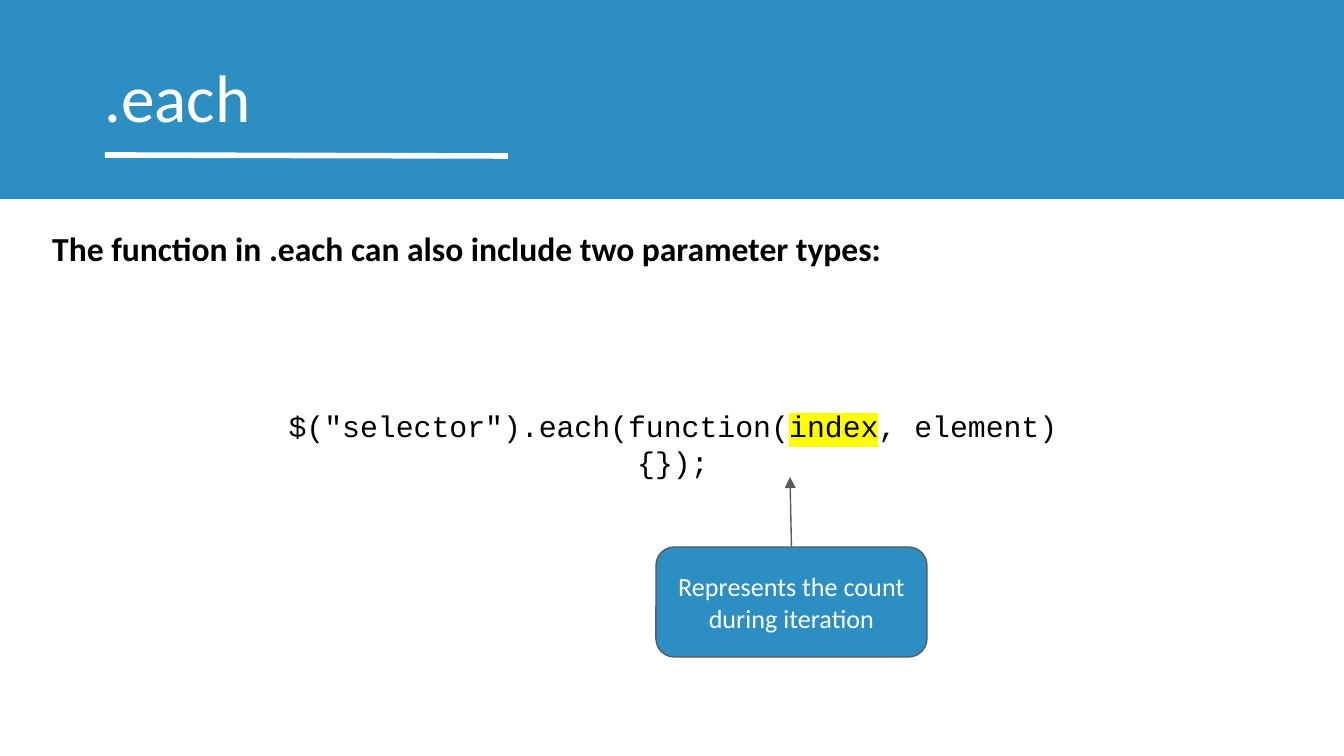
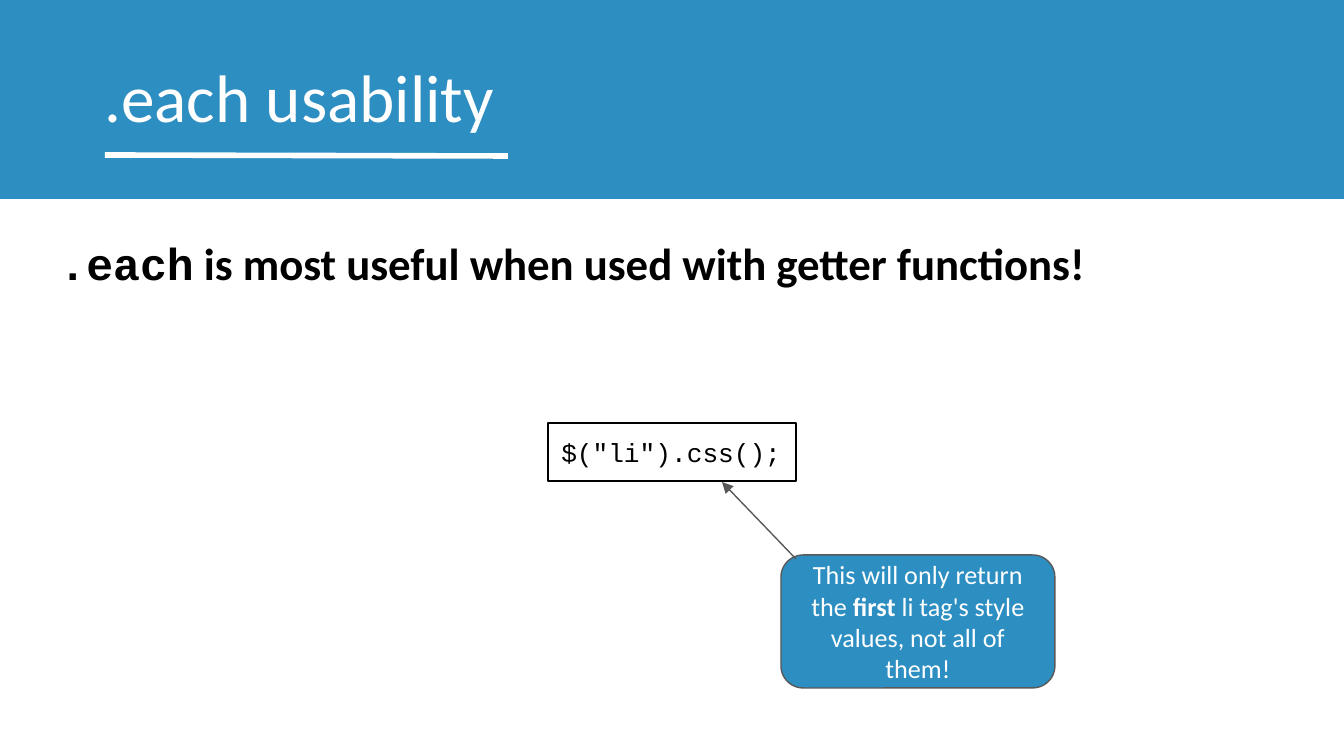
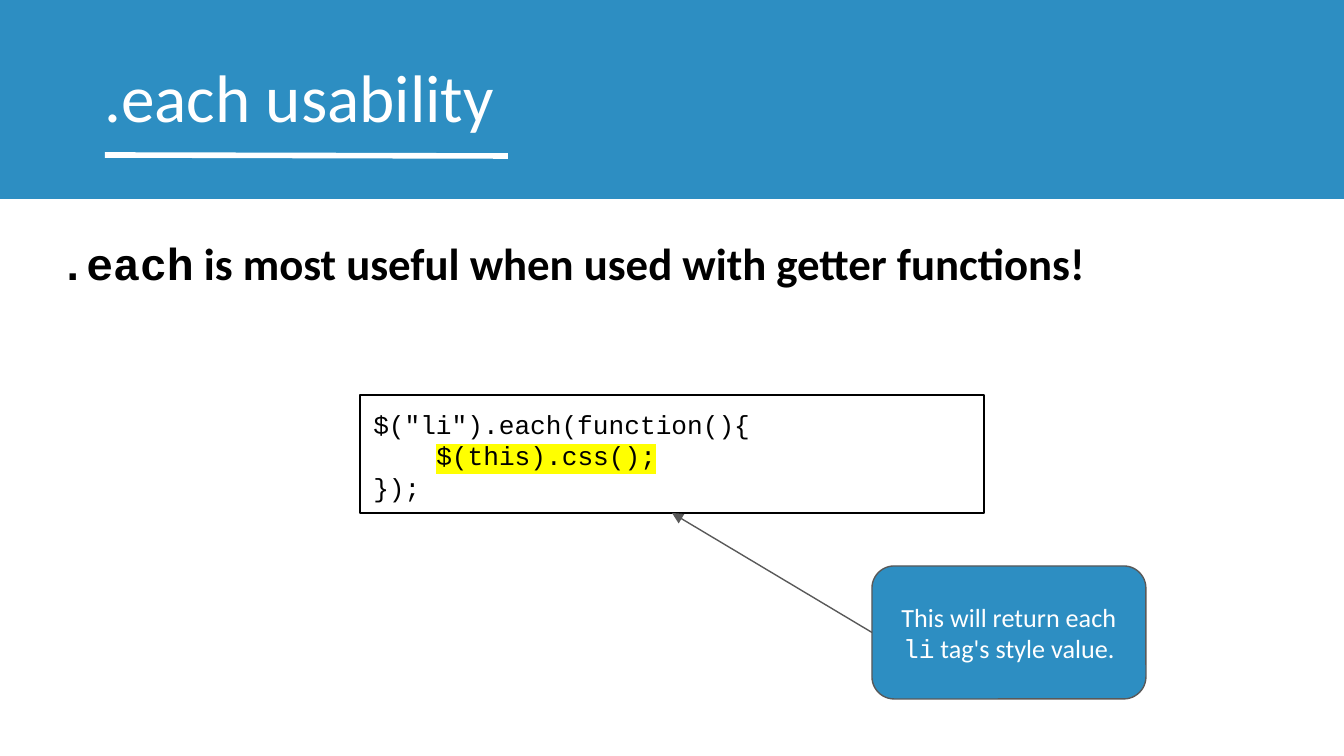
from lxml.etree import SubElement
from pptx import Presentation
from pptx.dml.color import RGBColor
from pptx.enum.shapes import MSO_CONNECTOR, MSO_SHAPE
from pptx.enum.text import MSO_ANCHOR, MSO_AUTO_SIZE, PP_ALIGN
from pptx.oxml.ns import qn
from pptx.util import Emu, Inches, Pt

BLUE, WHITE, BLACK, GREY, YELLOW = "2D8EC2", "FFFFFF", "000000", "595959", "FFFF00"
SANS, MONO = "Calibri", "Courier New"
SCALE = 914400 / 134.4
TOP, LEFT, BOTTOM = 0, 1, 2

BAND = (0, 0, 1344, 199)
RULE = (105, 155, 508, 156)
TITLE = (91, 42, 1253, 85)

# A run is (text, changes to the style of its block).
CODE = {"font": MONO}
MARK = {"mark": YELLOW}
USE = [(".each", CODE), (" is most useful when used with getter functions!", {})]

SLIDES = [
    {
        "title": ".each",
        "head": [("The function in .each can also include two parameter types:", {})],
        "head_at": (39, 215, 1245, 71),
        "head_size": 18,
        "holder": False,
        "code": [[('$("selector").each(function(', {}), ("index", MARK),
                  (", element){});", {})]],
        "code_at": (257, 359, 832, 169),
        "code_size": 16,
        "framed": False,
        "note": [("Represents the count during iteration", {})],
        "note_at": (656, 547, 271, 110),
        "arrow": (792, 547, 790, 477),
        "from_side": TOP,
    },
    {
        "title": ".each usability",
        "head": USE,
        "head_at": (46, 214, 1253, 108),
        "head_size": 24,
        "holder": True,
        "code": [[('$("li").css();', {})]],
        "code_at": (548, 423, 248, 58),
        "code_size": 14,
        "framed": True,
        "note": [("This will only return the ", {}), ("first", {"bold": True}),
                 (" li tag's style values, not all of them!", {})],
        "note_at": (781, 555, 274, 133),
        "arrow": (796, 559, 722, 482),
    },
    {
        "title": ".each usability",
        "head": USE,
        "head_at": (46, 214, 1253, 503),
        "head_size": 24,
        "holder": True,
        "code": [[('$("li").each(function(){', {})],
                 [("$(this).css();", MARK)],
                 [("});", {})]],
        "indents": (0, 63, 0),
        "code_at": (360, 395, 624, 118),
        "code_size": 14,
        "framed": True,
        "note": [("This will return each ", {}), ("li", CODE),
                 (" tag's style value.", {})],
        "note_at": (872, 566, 274, 133),
        "arrow": (872, 632, 672, 513),
        "from_side": LEFT,
        "to_side": BOTTOM,
    },
]


def px(n):
    return Emu(round(n * SCALE))


def box(at):
    return [px(n) for n in at]


def rgb(color):
    return RGBColor.from_string(color)


def place(shape, at):
    shape.left, shape.top, shape.width, shape.height = box(at)


def add_run(para, text, size, font=SANS, color=BLACK, bold=False, mark=None):
    run = para.add_run()
    run.text = text
    run.font.size = Pt(size)
    run.font.bold = bold
    run.font.name = font
    run.font.color.rgb = rgb(color)
    if mark:
        props = run._r.get_or_add_rPr()
        light = SubElement(props, qn("a:highlight"))
        SubElement(light, qn("a:srgbClr"), val=mark)
        props.find(qn("a:solidFill")).addnext(light)


def write(shape, lines, style, align=PP_ALIGN.LEFT, anchor=MSO_ANCHOR.TOP, indents=()):
    frame = shape.text_frame
    frame.word_wrap = True
    frame.auto_size = MSO_AUTO_SIZE.NONE
    frame.vertical_anchor = anchor
    frame.margin_left = frame.margin_right = Inches(0.1)
    frame.margin_top = frame.margin_bottom = Inches(0.1)
    for i, runs in enumerate(lines):
        para = frame.add_paragraph() if i else frame.paragraphs[0]
        para.alignment = align
        if indents:
            props = para._p.get_or_add_pPr()
            props.set("marL", str(px(indents[i])))
            props.set("indent", "0")
        for text, change in runs:
            add_run(para, text, **{**style, **change})


def add_box(slide, kind, at, fill, edge):
    shape = slide.shapes.add_shape(kind, *box(at))
    shape.shadow.inherit = False
    if fill:
        shape.fill.solid()
        shape.fill.fore_color.rgb = rgb(fill)
    else:
        shape.fill.background()
    if edge:
        shape.line.color.rgb = rgb(edge)
        shape.line.width = Pt(0.75)
    else:
        shape.line.fill.background()
    return shape


def add_line(slide, ends, color, width):
    line = slide.shapes.add_connector(MSO_CONNECTOR.STRAIGHT, *box(ends))
    line.line.color.rgb = rgb(color)
    line.line.width = Pt(width)
    SubElement(line.element.spPr, qn("a:effectLst"))
    return line


def brand(deck, slide):
    """Draw band and rule on a slide, then move them behind all on the master."""
    parts = [add_box(slide, MSO_SHAPE.RECTANGLE, BAND, BLUE, None),
             add_line(slide, RULE, WHITE, 3)]
    tree = deck.slide_master.shapes.element
    for i, part in enumerate(parts):
        part.element.xpath(".//p:cNvPr")[0].set("id", str(100 + i))
        tree.insert(2 + i, part.element)


def add_head(slide, data):
    style = {"size": data["head_size"], "bold": True}
    if not data["holder"]:
        head = slide.shapes.add_textbox(*box(data["head_at"]))
        write(head, [data["head"]], style)
        return
    head = slide.placeholders[1]
    place(head, data["head_at"])
    write(head, [data["head"]], style, indents=(0,))
    para = head.text_frame.paragraphs[0]
    para.line_spacing = 1.15
    para.space_before = Pt(0)
    para.space_after = Pt(16)
    SubElement(para._p.get_or_add_pPr(), qn("a:buNone"))


def add_code(slide, data):
    style = {"size": data["code_size"], "font": MONO}
    if data["framed"]:
        code = add_box(slide, MSO_SHAPE.RECTANGLE, data["code_at"], None, BLACK)
        write(code, data["code"], style, indents=data.get("indents", ()))
    else:
        code = slide.shapes.add_textbox(*box(data["code_at"]))
        write(code, data["code"], style, PP_ALIGN.CENTER, MSO_ANCHOR.MIDDLE)
    return code


def add_note(slide, data):
    note = add_box(slide, MSO_SHAPE.ROUNDED_RECTANGLE, data["note_at"], BLUE, GREY)
    write(note, [data["note"]], {"size": 14, "color": WHITE},
          PP_ALIGN.CENTER, MSO_ANCHOR.MIDDLE)
    return note


def add_arrow(slide, data, note, code):
    arrow = add_line(slide, data["arrow"], GREY, 0.75)
    SubElement(arrow.line._get_or_add_ln(), qn("a:tailEnd"), type="triangle")
    if "from_side" in data:
        arrow.begin_connect(note, data["from_side"])
    if "to_side" in data:
        arrow.end_connect(code, data["to_side"])


def main():
    deck = Presentation()
    deck.slide_width, deck.slide_height = px(1344), px(756)
    for i, data in enumerate(SLIDES):
        layout = deck.slide_layouts[1 if data["holder"] else 5]
        slide = deck.slides.add_slide(layout)
        if i == 0:
            brand(deck, slide)
        title = slide.shapes.title
        place(title, TITLE)
        write(title, [[(data["title"], {})]], {"size": 36, "color": WHITE})
        add_head(slide, data)
        code = add_code(slide, data)
        note = add_note(slide, data)
        add_arrow(slide, data, note, code)
    deck.save("out.pptx")


if __name__ == "__main__":
    main()
